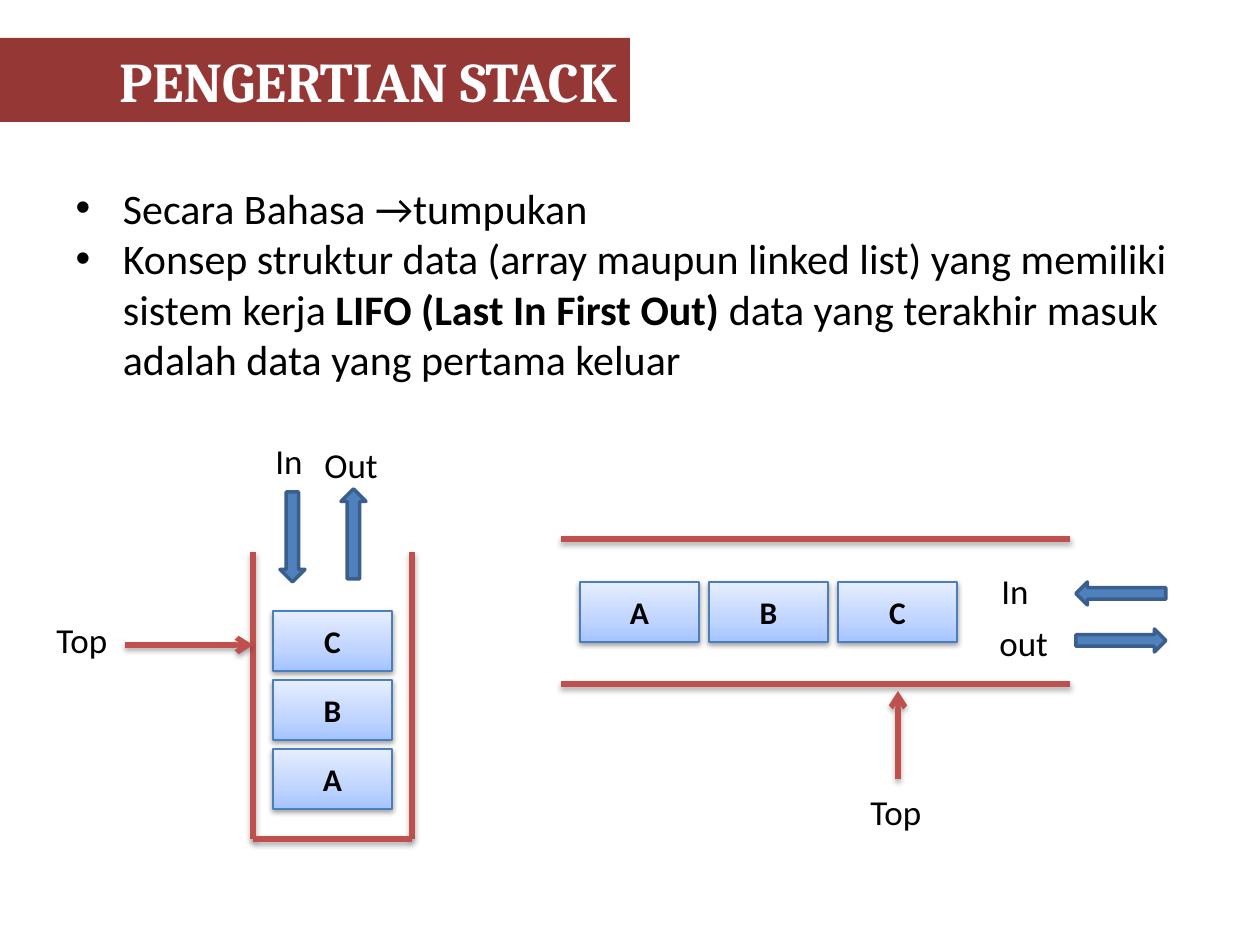
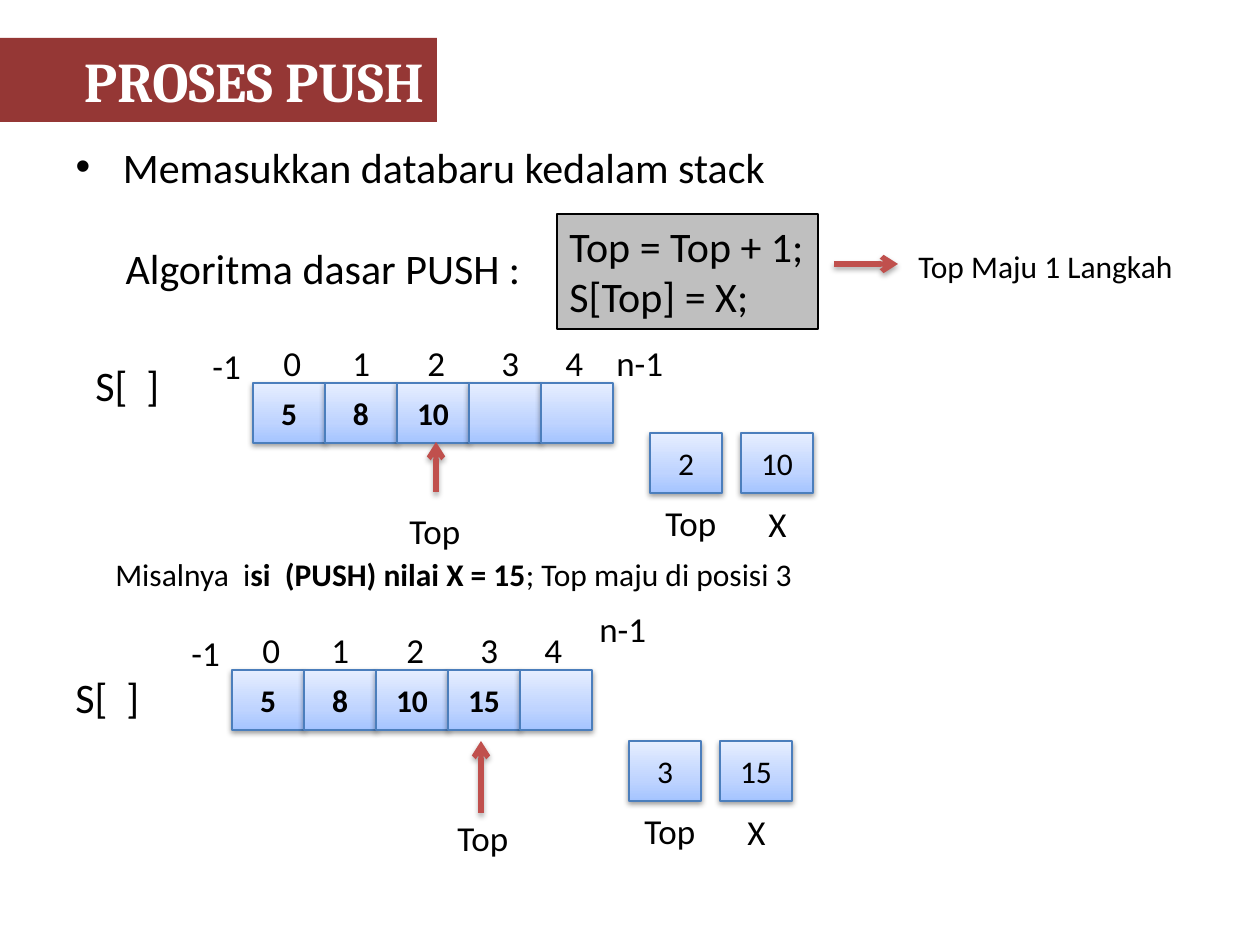
from dataclasses import dataclass

from lxml import etree
from pptx import Presentation
from pptx import util as u
from pptx.dml import color as colors
from pptx.enum import shapes, text
from pptx.oxml import ns

SCALE = 914400 // 126
BLACK, WHITE, BAND, RED = "000000", "FFFFFF", "953735", "C0504D"
BLUE, BLUE_EDGE, CELL_EDGE, GREY = "4F81BD", "3A5F8C", "4B7EBC", "BFBFBF"
CELL_STOPS = ((0, "A4C4FF"), (35, "BFD4FF"), (100, "E6EEFF"))
CELL_HEIGHT = 60
SLOT = 72
INDEX_OFFSETS = (18, 87, 162, 236, 300)
PRESET = shapes.MSO_SHAPE
LEFT, CENTER, RIGHT = text.PP_ALIGN.LEFT, text.PP_ALIGN.CENTER, text.PP_ALIGN.RIGHT
TOP, MIDDLE = text.MSO_ANCHOR.TOP, text.MSO_ANCHOR.MIDDLE


@dataclass
class Label:
    words: str
    left: int
    top: int
    width: int
    size: int = 20
    wrap: bool = False


@dataclass
class Cell:
    value: str
    left: int
    top: int
    width: int = SLOT
    bold: bool = True


@dataclass
class Line:
    x1: int
    y1: int
    x2: int
    y2: int
    arrow: bool = False


@dataclass
class BlockArrow:
    preset: shapes.MSO_SHAPE
    left: int
    top: int
    width: int
    height: int


@dataclass
class ArrayState:
    left: int
    top: int
    values: tuple[str, ...]
    name_at: tuple[int, int]
    end_at: tuple[int, int]
    variables_at: tuple[int, int]
    top_value: str
    x_value: str
    pointer: Line
    pointer_label_at: tuple[int, int]


def px(*lengths: int) -> list[u.Emu]:
    return [u.Emu(length * SCALE) for length in lengths]


def rgb(code: str) -> colors.RGBColor:
    return colors.RGBColor.from_string(code)


def add_node(parent, tag: str, **attributes):
    return etree.SubElement(parent, ns.qn(f"a:{tag}"), attributes)


def place(shape, left: int, top: int, width: int, height: int) -> None:
    shape.left, shape.top, shape.width, shape.height = px(left, top, width, height)


def write(frame, *paragraphs: str, size: int = 20, font: str = "Calibri",
          color: str = BLACK, bold: bool = False, align=LEFT, anchor=TOP,
          wrap: bool = True) -> None:
    frame.word_wrap = wrap
    frame.auto_size = text.MSO_AUTO_SIZE.NONE
    frame.vertical_anchor = anchor
    for number, words in enumerate(paragraphs):
        paragraph = frame.add_paragraph() if number else frame.paragraphs[0]
        paragraph.alignment = align
        paragraph.space_before = u.Pt(0)
        for part, span in enumerate(words.split("**")):
            run = paragraph.add_run()
            run.text = span
            run.font.size = u.Pt(size)
            run.font.name = font
            run.font.bold = bold or part % 2 == 1
            run.font.color.rgb = rgb(color)


def add_shadow(effects, distance: int, opacity: int) -> None:
    shadow = add_node(effects, "outerShdw", blurRad="40000", dist=str(distance),
                      dir="5400000", rotWithShape="0")
    add_node(add_node(shadow, "srgbClr", val=BLACK), "alpha", val=str(opacity * 1000))


def add_box(slide, preset, left: int, top: int, width: int, height: int,
            edge: str, edge_width: float, fill: str | None = None):
    box = slide.shapes.add_shape(preset, *px(left, top, width, height))
    box.shadow.inherit = False
    box.line.color.rgb = rgb(edge)
    box.line.width = u.Pt(edge_width)
    if fill:
        box.fill.solid()
        box.fill.fore_color.rgb = rgb(fill)
    return box


def draw_cell(slide, cell: Cell) -> None:
    box = add_box(slide, PRESET.RECTANGLE, cell.left, cell.top, cell.width,
                  CELL_HEIGHT, CELL_EDGE, 0.75)
    box.fill.gradient()
    box.fill.gradient_angle = 90
    properties = box._element.spPr
    stops = properties.find(".//" + ns.qn("a:gsLst"))
    for stop in list(stops):
        stops.remove(stop)
    for position, code in CELL_STOPS:
        add_node(add_node(stops, "gs", pos=str(position * 1000)), "srgbClr", val=code)
    add_shadow(properties.find(ns.qn("a:effectLst")), 20000, 38)
    if cell.value:
        write(box.text_frame, cell.value, size=18, bold=cell.bold, align=CENTER,
              anchor=MIDDLE)


def draw_line(slide, line: Line) -> None:
    connector = slide.shapes.add_connector(
        shapes.MSO_CONNECTOR.STRAIGHT, *px(line.x1, line.y1, line.x2, line.y2))
    connector.line.color.rgb = rgb(RED)
    connector.line.width = u.Pt(3)
    properties = connector._element.spPr
    if line.arrow:
        add_node(properties.find(ns.qn("a:ln")), "tailEnd", type="arrow")
    add_shadow(add_node(properties, "effectLst"), 23000, 35)


def draw_label(slide, label: Label) -> None:
    height = round(label.size * 2.1 + 13)
    box = slide.shapes.add_textbox(*px(label.left, label.top, label.width, height))
    write(box.text_frame, label.words, size=label.size, wrap=label.wrap)


def draw_block_arrow(slide, arrow: BlockArrow) -> None:
    add_box(slide, arrow.preset, arrow.left, arrow.top, arrow.width, arrow.height,
            BLUE_EDGE, 2, BLUE)


def draw_array(slide, state: ArrayState) -> None:
    for slot, (value, offset) in enumerate(zip(state.values, INDEX_OFFSETS)):
        draw_cell(slide, Cell(value, state.left + slot * SLOT, state.top))
        draw_label(slide, Label(str(slot), state.left + offset, state.top - 48, 43))
    x, y = state.variables_at
    draw_cell(slide, Cell(state.top_value, x, y, bold=False))
    draw_cell(slide, Cell(state.x_value, x + 91, y, bold=False))
    for label in (
        Label("-1", state.left - 53, state.top - 45, 54),
        Label("n-1", *state.end_at, 73),
        Label("S[  ]", *state.name_at, 89, size=24),
        Label("Top", x + 3, y + 62, 77),
        Label("X", x + 106, y + 63, 44),
        Label("Top", *state.pointer_label_at, 77),
    ):
        draw_label(slide, label)
    draw_line(slide, state.pointer)


def start_slide(deck, heading: str, band_width: int, body_top: int,
                body_height: int, *points: str):
    slide = deck.slides.add_slide(deck.slide_layouts[1])
    title, body = slide.placeholders
    place(title, 0, 38, band_width, 84)
    title.fill.solid()
    title.fill.fore_color.rgb = rgb(BAND)
    write(title.text_frame, heading, size=32, font="Cambria", color=WHITE, bold=True,
          align=RIGHT, anchor=MIDDLE)
    place(body, 63, body_top, 1131, body_height)
    write(body.text_frame, *points, size=24)
    return slide, body


def build_definition(deck) -> None:
    slide, _ = start_slide(
        deck, "PENGERTIAN STACK", 630, 176, 217,
        "Secara Bahasa →tumpukan",
        "Konsep struktur data (array maupun linked list) yang memiliki sistem kerja "
        "**LIFO (Last In First Out)** data yang terakhir masuk adalah data yang "
        "pertama keluar")
    for step, value in enumerate("CBA"):
        draw_cell(slide, Cell(value, 273, 611 + step * 69, 119))
    for step, value in enumerate("ABC"):
        draw_cell(slide, Cell(value, 580 + step * 129, 582, 119))
    for line in (
        Line(253, 552, 253, 839),
        Line(412, 552, 412, 839),
        Line(253, 839, 412, 839),
        Line(125, 645, 253, 645, arrow=True),
        Line(1070, 539, 561, 539),
        Line(1070, 684, 561, 684),
        Line(898, 779, 898, 691, arrow=True),
    ):
        draw_line(slide, line)
    for arrow in (
        BlockArrow(PRESET.DOWN_ARROW, 280, 492, 25, 90),
        BlockArrow(PRESET.UP_ARROW, 341, 489, 25, 90),
        BlockArrow(PRESET.LEFT_ARROW, 1076, 582, 90, 23),
        BlockArrow(PRESET.RIGHT_ARROW, 1076, 629, 90, 23),
    ):
        draw_block_arrow(slide, arrow)
    for label in (
        Label("In", 263, 433, 53),
        Label("Out", 312, 437, 79),
        Label("Top", 44, 612, 77),
        Label("Top", 858, 784, 77),
        Label("In", 989, 563, 53),
        Label("out", 987, 615, 74),
    ):
        draw_label(slide, label)


def build_push(deck) -> None:
    slide, body = start_slide(deck, "PROSES PUSH", 437, 135, 165,
                              "Memasukkan databaru kedalam stack",
                              "Algoritma dasar PUSH :")
    algorithm = body.text_frame.paragraphs[1]
    algorithm.space_before = u.Pt(29)
    properties = algorithm._p.get_or_add_pPr()
    properties.set("marL", str(50 * SCALE))
    properties.set("indent", "0")
    add_node(properties, "buNone")

    code = add_box(slide, PRESET.RECTANGLE, 557, 214, 261, 115, BLACK, 0.75, GREY)
    write(code.text_frame, "Top = Top + 1;", "S[Top] = X;", size=24, wrap=False)
    draw_line(slide, Line(834, 264, 898, 264, arrow=True))
    draw_label(slide, Label("Top Maju 1 Langkah", 906, 241, 282, size=18))
    draw_label(slide, Label("Misalnya  i**si  (PUSH) nilai X = 15**; Top maju di posisi 3",
                            103, 549, 1062, size=18, wrap=True))
    draw_array(slide, ArrayState(
        253, 383, ("5", "8", "10", "", ""), name_at=(83, 353), end_at=(604, 335),
        variables_at=(650, 433), top_value="2", x_value="10",
        pointer=Line(436, 492, 436, 442, arrow=True), pointer_label_at=(397, 503)))
    draw_array(slide, ArrayState(
        232, 670, ("5", "8", "10", "15", ""), name_at=(63, 665), end_at=(587, 601),
        variables_at=(629, 741), top_value="3", x_value="15",
        pointer=Line(481, 813, 481, 741, arrow=True), pointer_label_at=(445, 810)))


deck = Presentation()
deck.slide_width, deck.slide_height = px(1260, 945)
build_definition(deck)
build_push(deck)
deck.save("out.pptx")
